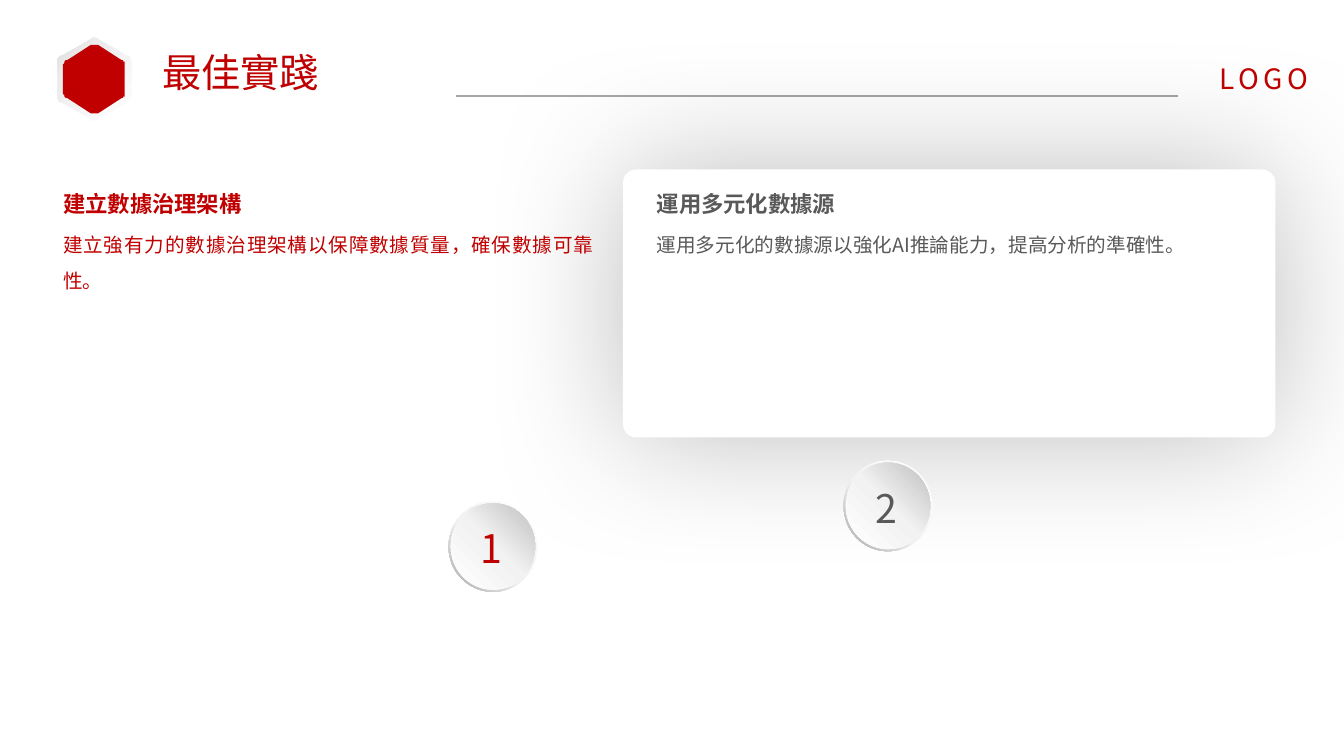
from math import cos, pi, sin

from lxml import etree
from pptx import Presentation
from pptx.dml.color import RGBColor
from pptx.enum.shapes import MSO_CONNECTOR, MSO_SHAPE
from pptx.enum.text import MSO_ANCHOR, MSO_AUTO_SIZE, PP_ALIGN
from pptx.oxml import parse_xml
from pptx.oxml.ns import qn
from pptx.util import Pt

COLORS = {"red": "C00000", "gray": "595959", "rule": "A6A6A6", "white": "FFFFFF"}
RIM = [(0, "FFFFFF"), (55, "F2F2F2"), (100, "A6A6A6")]
FACE = [(0, "FFFFFF"), (51, "F2F2F2"), (100, "BFBFBF")]
BADGE = [(0, "FFFFFF"), (73, "ECECEC"), (100, "D9D9D9")]
FONT = "Noto Sans CJK SC"
NS = 'xmlns:a="http://schemas.openxmlformats.org/drawingml/2006/main"'
LINE = MSO_CONNECTOR.STRAIGHT
ROUND, RING, OVAL = MSO_SHAPE.ROUNDED_RECTANGLE, MSO_SHAPE.DONUT, MSO_SHAPE.OVAL
LEFT, JUST = PP_ALIGN.LEFT, PP_ALIGN.JUSTIFY
TOP, MID, FIXED = MSO_ANCHOR.TOP, MSO_ANCHOR.MIDDLE, MSO_AUTO_SIZE.NONE


def rgb(name):
    """Return the named colour."""
    return RGBColor.from_string(COLORS[name])


def put(shape, box):
    """Place a shape in a box of points."""
    for key, val in zip(("left", "top", "width", "height"), box):
        setattr(shape, key, Pt(val))


def write(shape, text, color, size, bold=False, pad=(7.2, 3.6), anchor=TOP,
          wrap=True, align=LEFT, lead=None, track=None):
    """Fill a shape with one formatted paragraph."""
    frame = shape.text_frame
    style = {"margin_left": Pt(pad[0]), "margin_right": Pt(pad[0]),
             "margin_top": Pt(pad[1]), "margin_bottom": Pt(pad[1]),
             "word_wrap": wrap, "auto_size": FIXED, "vertical_anchor": anchor}
    for key, val in style.items():
        setattr(frame, key, val)
    para = frame.paragraphs[0]
    para.alignment, para.line_spacing = align, lead
    run = para.add_run()
    run.text = text
    for key, val in {"name": FONT, "size": Pt(size), "bold": bold}.items():
        setattr(run.font, key, val)
    run.font.color.rgb = rgb(color)
    props = run.font._element
    etree.SubElement(props, qn("a:ea")).set("typeface", FONT)
    if track:
        props.set("spc", str(track * 100))


def label(slide, box, text, color, size, **style):
    """Add a text box."""
    write(slide.shapes.add_textbox(*map(Pt, box)), text, color, size, **style)


def paint(shape, color=None, stops=(), angle=0):
    """Give a shape a flat or gradient fill and no outline or shadow."""
    shape.shadow.inherit = False
    shape.line.fill.background()
    if color:
        shape.fill.solid()
        shape.fill.fore_color.rgb = rgb(color)
        return
    marks = "".join(f'<a:gs pos="{pos * 1000}"><a:srgbClr val="{val}"/></a:gs>'
                    for pos, val in stops)
    grad = parse_xml(f'<a:gradFill {NS} rotWithShape="1"><a:gsLst>{marks}</a:gsLst>'
                     f'<a:lin ang="{angle * 60000}" scaled="0"/></a:gradFill>')
    shape._element.spPr.find(qn("a:prstGeom" if shape.shape_type == 1
                                else "a:custGeom")).addnext(grad)


def hexagon(slide, x, y, size):
    """Draw a pointed hexagon with rounded corners about a centre."""
    tips = [(x + size * sin(k * pi / 3), y - size * cos(k * pi / 3))
            for k in range(6)]
    dots = []
    for k, tip in enumerate(tips):
        ends = [[t + (o - t) * 0.1 for t, o in zip(tip, other)]
                for other in (tips[k - 1], tips[(k + 1) % 6])]
        for step in range(7):
            u = step / 6
            dots.append([(1 - u) ** 2 * a + 2 * u * (1 - u) * t + u * u * b
                         for a, t, b in zip(ends[0], tip, ends[1])])
    path = slide.shapes.build_freeform(*dots[0], scale=Pt(1))
    path.add_line_segments(dots[1:], close=True)
    return path.convert_to_shape()


def header(slide, x, y):
    """Place the badge, title, rule and logo word."""
    paint(hexagon(slide, x + 30, y + 30, 30.4), stops=BADGE, angle=225)
    paint(hexagon(slide, x + 30, y + 30, 25.4), "red")
    title = slide.shapes.title
    put(title, (x + 78.5, y + 7.5, 626, 34))
    write(title, "最佳實踐", "red", 28, pad=(0, 0), anchor=MID)
    rule = slide.shapes.add_connector(
        LINE, Pt(x + 288), Pt(y + 42), Pt(x + 804), Pt(y + 42))
    rule.line.color.rgb = rgb("rule")
    rule.line.width = Pt(1)
    etree.SubElement(rule._element.spPr, qn("a:effectLst"))
    label(slide, (x + 834, y + 17.5, 73, 24.5), "LOGO", "red", 20,
          pad=(0, 0), wrap=False, track=3)


def card(slide, box):
    """Draw the white panel with its wide soft shadow."""
    panel = slide.shapes.add_shape(ROUND, *map(Pt, box))
    panel.adjustments[0] = 0.05
    paint(panel, "white")
    glow = panel._element.spPr.find(qn("a:effectLst"))
    glow.append(parse_xml(
        f'<a:outerShdw {NS} blurRad="{Pt(100)}" dist="0" algn="ctr" rotWithShape="0">'
        '<a:srgbClr val="000000"><a:alpha val="26000"/></a:srgbClr></a:outerShdw>'))


def item(slide, x, y, width, head, body, color):
    """Write a heading with its text below."""
    label(slide, (x, y, width, 26.5), head, color, 16, bold=True)
    label(slide, (x, y + 22.3, width, 55), body, color, 14, align=JUST, lead=1.5)


def disc(slide, x, y, num, color):
    """Draw a raised numbered disc."""
    ring = slide.shapes.add_shape(RING, Pt(x), Pt(y), Pt(63.4), Pt(64.8))
    ring.adjustments[0] = 0.05
    paint(ring, stops=RIM, angle=135)
    face = slide.shapes.add_shape(OVAL, Pt(x + 1.5), Pt(y + 1.5), Pt(60.4), Pt(61.8))
    paint(face, stops=FACE, angle=315)
    label(slide, (x + 15.5, y + 13, 69, 41), num, color, 28.1)


def main():
    """Build and save the slide."""
    deck = Presentation()
    deck.slide_width, deck.slide_height = Pt(960), Pt(540)
    slide = deck.slides.add_slide(deck.slide_layouts[5])
    header(slide, 37.4, 26.5)
    card(slide, (445, 121, 466, 191.5))
    item(slide, 38, 132.5, 393, "建立數據治理架構",
         "建立強有力的數據治理架構以保障數據質量，確保數據可靠性。", "red")
    item(slide, 462, 132.5, 431, "運用多元化數據源",
         "運用多元化的數據源以強化AI推論能力，提高分析的準確性。", "gray")
    disc(slide, 320.4, 358, "1", "red")
    disc(slide, 602.6, 329, "2", "gray")
    deck.save("out.pptx")


if __name__ == "__main__":
    main()
